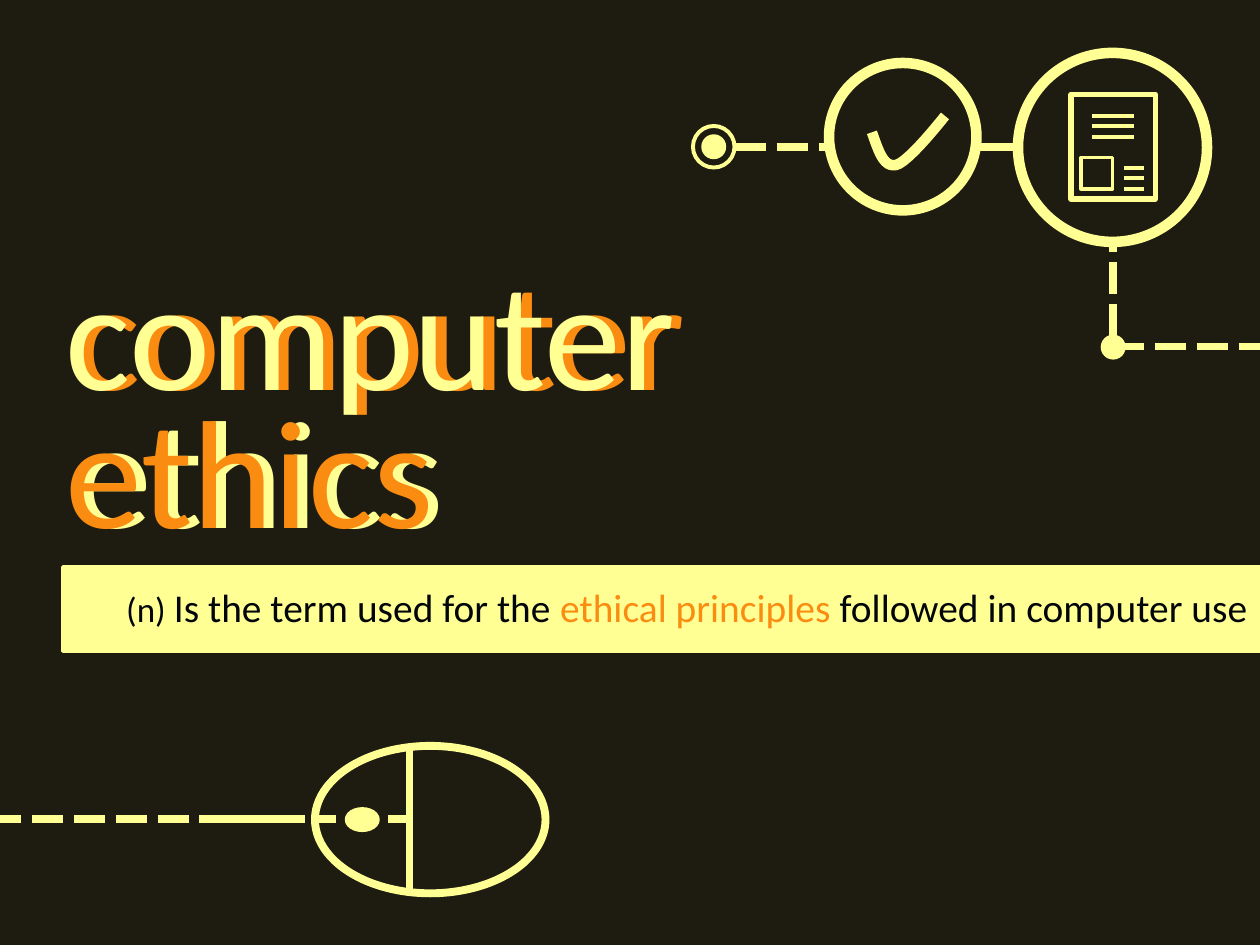
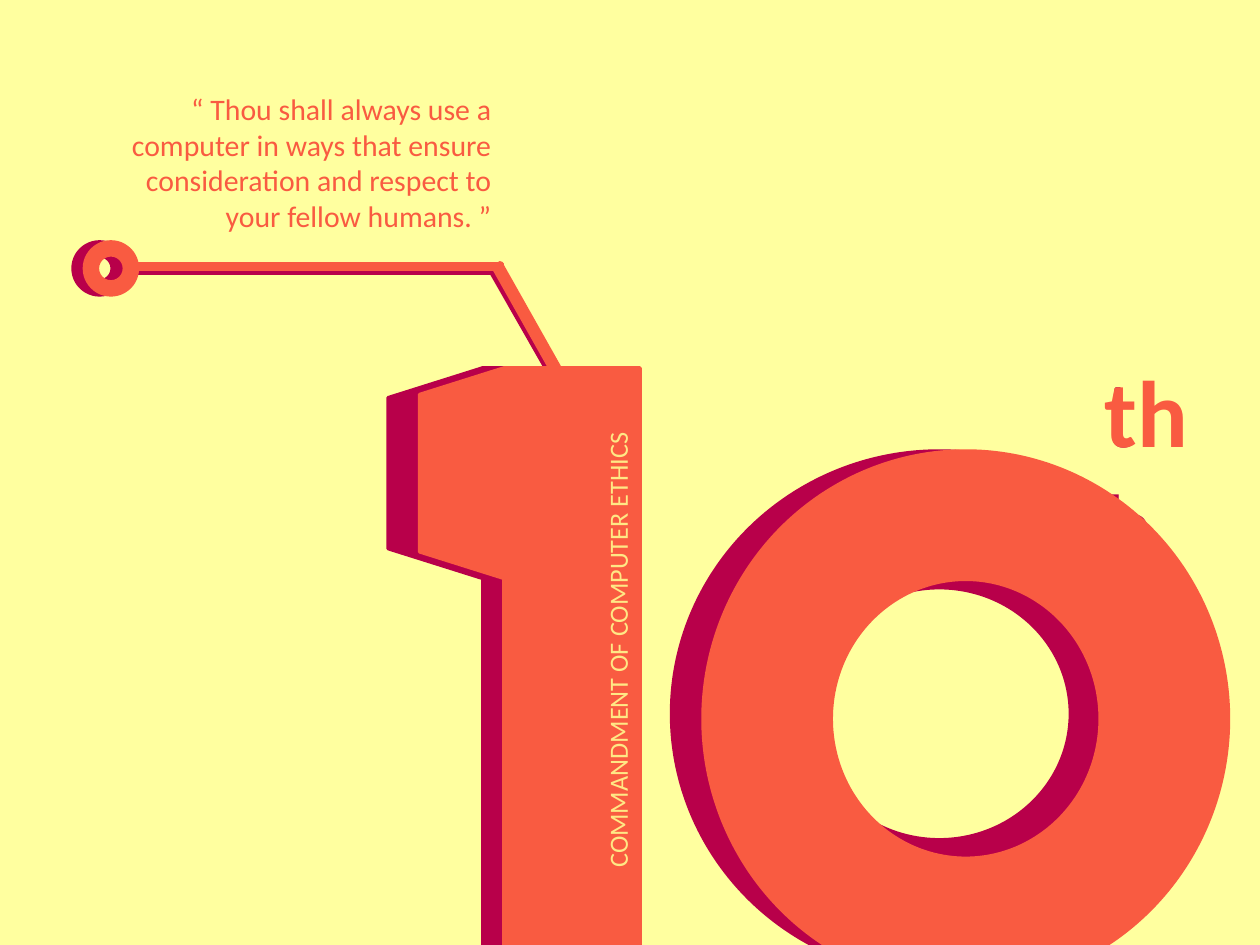
from pptx import Presentation
from pptx.dml.color import RGBColor
from pptx.enum.shapes import MSO_CONNECTOR, MSO_SHAPE
from pptx.enum.text import MSO_ANCHOR, MSO_AUTO_SIZE, PP_ALIGN
from pptx.oxml.ns import qn
from pptx.util import Inches, Pt
from lxml.etree import SubElement

DARK = RGBColor(0x1E, 0x1C, 0x11)
LEMON = RGBColor(0xFF, 0xFF, 0x93)
PALE = RGBColor(0xFF, 0xFF, 0x9F)
CREAM = RGBColor(0xFF, 0xE8, 0x85)
AMBER = RGBColor(0xFA, 0x8C, 0x12)
INK = RGBColor(0x03, 0x07, 0x0C)
CORAL = RGBColor(0xF9, 0x5B, 0x41)
WINE = RGBColor(0xB8, 0x00, 0x4A)

FONT = "Calibri"
FRAME = {"word_wrap": True, "auto_size": MSO_AUTO_SIZE.SHAPE_TO_FIT_TEXT,
         "vertical_anchor": MSO_ANCHOR.TOP}
LEFT = {"alignment": PP_ALIGN.LEFT}
RIGHT = {"alignment": PP_ALIGN.RIGHT, "space_after": Pt(6)}
STEP, DASH = 1 / 3, 0.25


def apply(item, form):
    """Set each value of a format dict on an item."""
    for name, value in form.items():
        setattr(item, name, value)


def place(box, area, turn=0):
    """Move a box to an area in inches and turn it."""
    names = ("left", "top", "width", "height")
    apply(box, dict(zip(names, map(Inches, area))))
    box.rotation = turn


def start(deck, color):
    """Add a title-only slide with a plain background."""
    slide = deck.slides.add_slide(deck.slide_layouts[5])
    slide.background.fill.solid()
    slide.background.fill.fore_color.rgb = color
    return slide


def write(box, area, runs, form=LEFT, turn=0, bold=False):
    """Fill a text box with runs of text, size and colour."""
    place(box, area, turn)
    apply(box.text_frame, FRAME)
    para = box.text_frame.paragraphs[0]
    apply(para, form)
    for text, size, color in runs:
        run = para.add_run()
        run.text = text
        apply(run.font, {"name": FONT, "size": Pt(size), "bold": bold})
        run.font.color.rgb = color


def label(slide, *args, **form):
    """Add a new text box and fill it."""
    write(slide.shapes.add_textbox(0, 0, 0, 0), *args, **form)


def paint(item, color, width, solid):
    """Give a shape one colour for its line and, if solid, its fill."""
    item.shadow.inherit = False
    item.line.color.rgb = color
    item.line.width = Pt(width)
    if solid:
        item.fill.solid()
        item.fill.fore_color.rgb = color
    else:
        item.fill.background()


def shape(slide, kind, area, color, width=2, solid=True, turn=0, adj=None):
    """Add a preset shape, filled or in outline."""
    item = slide.shapes.add_shape(kind, 0, 0, 0, 0)
    place(item, area, turn)
    paint(item, color, width, solid)
    if adj is not None:
        item.adjustments[0] = adj


def wire(slide, x, y, x2, y2, width=4.5):
    """Add a straight lemon line."""
    item = slide.shapes.add_connector(
        MSO_CONNECTOR.STRAIGHT, *map(Inches, (x, y, x2, y2)))
    item.line.color.rgb = LEMON
    item.line.width = Pt(width)
    SubElement(item.element.spPr, qn("a:effectLst"))


def dashes(slide, x, y, count, down=False):
    """Add a row or column of equal dashes."""
    for i in range(count):
        a, b = (x, y + i * STEP) if down else (x + i * STEP, y)
        wire(slide, a, b, a if down else a + DASH, b + DASH if down else b)


def bend(p, q, r, s, count=12):
    """Return points along a cubic curve after its start."""
    steps = [i / count for i in range(1, count + 1)]
    return [tuple((1 - t) ** 3 * a + 3 * (1 - t) ** 2 * t * b
                  + 3 * (1 - t) * t * t * c + t ** 3 * d
                  for a, b, c, d in zip(p, q, r, s)) for t in steps]


def tick(slide):
    """Draw the check mark."""
    tip, low, end = (6.92, 1.05), (7.11, 1.31), (7.5, 0.92)
    points = bend(tip, (6.97, 1.19), (7.01, 1.33), low)
    points += bend(low, (7.21, 1.29), end, end)
    pen = slide.shapes.build_freeform(*map(Inches, tip))
    pen.add_line_segments([tuple(map(Inches, p)) for p in points], close=False)
    paint(pen.convert_to_shape(), LEMON, 6, False)


def page(slide):
    """Draw the page icon with its text lines."""
    shape(slide, MSO_SHAPE.RECTANGLE, (8.5, 0.75, 0.67, 0.83), LEMON, 3, False)
    for x, x2, top in ((8.67, 9, 0.92), (8.92, 9.08, 1.33)):
        for i in range(3):
            y = top + i / 12
            wire(slide, x, y, x2, y, 2.25)
    shape(slide, MSO_SHAPE.RECTANGLE, (8.58, 1.25, 0.25, 0.25), LEMON, 2, False)


def mouse(slide):
    """Draw the mouse and its dashed cable."""
    shape(slide, MSO_SHAPE.OVAL, (2.5, 5.92, 1.83, 1.17), LEMON, 4.5, False)
    wire(slide, 3.25, 5.92, 3.25, 7.08)
    shape(slide, MSO_SHAPE.OVAL, (2.75, 6.42, 0.25, 0.17), LEMON)
    for x, x2 in ((3.08, 3.25), (2.5, 2.67), (1.58, 2.42)):
        wire(slide, x, 6.5, x2, 6.5)
    dashes(slide, -0.08, 6.5, 5)


def chain(slide):
    """Draw the linked circles at the top right."""
    ring, dot = MSO_SHAPE.FLOWCHART_CONNECTOR, MSO_SHAPE.OVAL
    shape(slide, ring, (8.08, 0.42, 1.5, 1.5), LEMON, 6, False)
    tick(slide)
    shape(slide, ring, (6.58, 0.5, 1.17, 1.17), LEMON, 6, False)
    page(slide)
    dashes(slide, 8.83, 2.75, 4)
    wire(slide, 8.83, 1.92, 8.83, 2)
    dashes(slide, 8.83, 2.08, 2, down=True)
    dashes(slide, 5.83, 1.17, 2)
    for x, x2 in ((6.5, 6.58), (7.75, 8.08)):
        wire(slide, x, 1.17, x2, 1.17)
    for x, y in ((5.58, 1.08), (8.75, 2.67)):
        shape(slide, dot, (x, y, 0.17, 0.17), LEMON)
    shape(slide, dot, (5.5, 1, 0.33, 0.33), LEMON, 2.25, False)


def cover(deck):
    """Build the slide that defines the term."""
    slide = start(deck, DARK)
    write(slide.shapes.title, (0.5, 1.83, 5.92, 1.58),
          [("computer", 88, AMBER)])
    for x, y, text, color in ((0.5, 2.92, "ethics", LEMON),
                              (0.42, 1.83, "computer", LEMON),
                              (0.42, 2.92, "ethics", AMBER)):
        label(slide, (x, y, 5.92, 1.58), [(text, 88, color)])
    shape(slide, MSO_SHAPE.RECTANGLE, (0.5, 4.5, 9.5, 0.67), LEMON)
    label(slide, (0.25, 4.58, 9.75, 0.49), [
        ("(n) ", 20, INK),
        ("Is the term used for the ", 22.5, INK),
        ("ethical principles ", 22.5, AMBER),
        ("followed in computer use", 22.5, INK)], RIGHT)
    chain(slide)
    mouse(slide)


def tenth(deck):
    """Build the slide of the tenth commandment."""
    slide = start(deck, PALE)
    bar, ring, flag = MSO_SHAPE.RECTANGLE, MSO_SHAPE.DONUT, MSO_SHAPE.TRAPEZOID
    write(slide.shapes.title, (0.67, 0.67, 3.33, 1.25), [
        ("“ Thou shall always use a computer in ways that ensure "
         "consideration and respect to your fellow humans. ”", 17, CORAL)],
        RIGHT)
    shape(slide, ring, (0.58, 1.92, 0.42, 0.42), WINE, adj=0.26)
    shape(slide, bar, (2.44, 0.65, 0.08, 2.96), WINE, turn=270)
    shape(slide, bar, (4.42, 2.01, 0.07, 2.12), WINE, turn=330.3)
    shape(slide, bar, (4.18, 2.03, 0.07, 1.11), CORAL, turn=330.6)
    label(slide, (8.67, 2.75, 0.83, 1.01), [("th", 54, WINE)])
    shape(slide, flag, (2.62, 3.38, 1.67, 0.75), WINE, turn=270, adj=0.315)
    shape(slide, bar, (3.83, 2.92, 0.5, 4.58), WINE)
    shape(slide, ring, (5.33, 3.58, 4.25, 4.17), WINE, adj=0.26)
    shape(slide, ring, (5.58, 3.58, 4.17, 4.25), CORAL, adj=0.244)
    label(slide, (8.67, 2.75, 1, 1.01), [("th", 54, CORAL)], bold=True)
    shape(slide, flag, (2.83, 3.42, 1.67, 0.67), CORAL, turn=270, adj=0.315)
    shape(slide, bar, (4, 2.92, 1.08, 4.58), CORAL)
    label(slide, (2.61, 5.45, 4.58, 0.35),
          [("COMMANDMENT OF COMPUTER ETHICS", 15, CREAM)], RIGHT, turn=270)
    shape(slide, bar, (2.47, 0.62, 0.05, 2.99), CORAL, turn=270)
    shape(slide, ring, (0.67, 1.92, 0.42, 0.42), CORAL, adj=0.244)


def main():
    """Build and save the deck."""
    deck = Presentation()
    apply(deck, {"slide_width": Inches(10), "slide_height": Inches(7.5)})
    cover(deck)
    tenth(deck)
    deck.save("out.pptx")


if __name__ == "__main__":
    main()
